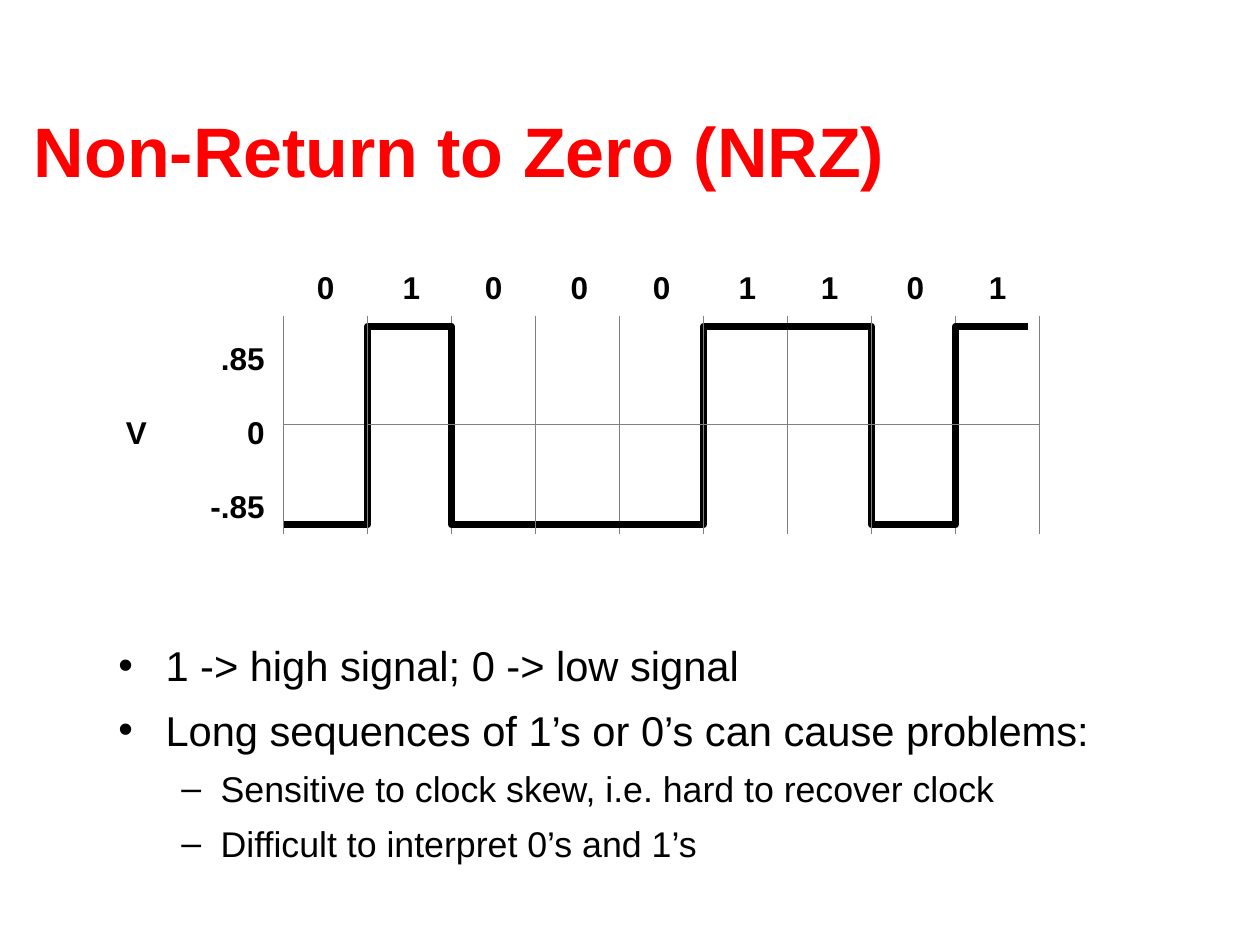
from lxml.etree import SubElement
from pptx import Presentation
from pptx.dml.color import RGBColor
from pptx.enum.shapes import MSO_CONNECTOR
from pptx.enum.text import MSO_ANCHOR, MSO_AUTO_SIZE, PP_ALIGN
from pptx.oxml.ns import qn
from pptx.util import Pt

COLORS = {"title": "FF0000", "ink": "000000", "grid": "808080"}
FONT = "Arial"
BITS = "010001101"
LEFT, STEP = 162, 48
TOP, ZERO, BOTTOM = 180.5, 242.6, 305
LEVELS = {"1": 186.5, "0": 300}
WAVE_END = 587.5
VOLTS = [(".85", 190, 39.6), ("0", 232.5, 24.5), ("-.85", 274.5, 45.4)]
VOLTS_RIGHT = 158.4
BULLETS = [
    ("1 -> high signal; 0 -> low signal", 0),
    ("Long sequences of 1’s or 0’s can cause problems:", 0),
    ("Sensitive to clock skew, i.e. hard to recover clock", 1),
    ("Difficult to interpret 0’s and 1’s", 1),
]
LEVEL_STYLES = [("•", 27, 27, 23.8, 8.5), ("–", 58.5, 22.5, 20.4, 7)]


def rgb(name):
    """Return the named colour."""
    return RGBColor.from_string(COLORS[name])


def format_runs(p, size, color="ink", bold=False):
    """Format every run of a paragraph."""
    for r in p.runs:
        r.font.name = FONT
        r.font.size = Pt(size)
        r.font.bold = bold
        r.font.color.rgb = rgb(color)


def add_title(s, text):
    """Fill and place the title placeholder."""
    sp = s.shapes.title
    sp.left, sp.top, sp.width, sp.height = Pt(12.2), Pt(23), Pt(690), Pt(90)
    tf = sp.text_frame
    tf.text = text
    tf.vertical_anchor = MSO_ANCHOR.BOTTOM
    tf.paragraphs[0].alignment = PP_ALIGN.LEFT
    format_runs(tf.paragraphs[0], 40, "title", True)


def add_label(s, text, x, y, w, align=PP_ALIGN.LEFT):
    """Add a one-line bold label."""
    tf = s.shapes.add_textbox(Pt(x), Pt(y), Pt(w), Pt(28.8)).text_frame
    tf.word_wrap = False
    tf.auto_size = MSO_AUTO_SIZE.SHAPE_TO_FIT_TEXT
    tf.text = text
    tf.paragraphs[0].alignment = align
    format_runs(tf.paragraphs[0], 18, bold=True)


def add_line(s, x1, y1, x2, y2):
    """Add a thin grid line without shadow."""
    line = s.shapes.add_connector(
        MSO_CONNECTOR.STRAIGHT, Pt(x1), Pt(y1), Pt(x2), Pt(y2))
    line.line.color.rgb = rgb("grid")
    line.line.width = Pt(1)
    SubElement(line._element.spPr, qn("a:effectLst"))


def add_grid(s, first):
    """Add the zero line and every second bit boundary."""
    xs = [LEFT + STEP * i for i in range(first, len(BITS) + 1, 2)]
    add_line(s, xs[0], ZERO, xs[-1], ZERO)
    for x in xs:
        add_line(s, x, TOP, x, BOTTOM)


def add_wave(s):
    """Draw the signal that encodes the bits."""
    points = []
    for i, bit in enumerate(BITS):
        x = LEFT + STEP * i
        points += [(x, LEVELS[bit]), (min(x + STEP, WAVE_END), LEVELS[bit])]
    points = list(dict.fromkeys((Pt(x), Pt(y)) for x, y in points))
    builder = s.shapes.build_freeform(*points[0])
    builder.add_line_segments(points[1:], close=False)
    sp = builder.convert_to_shape()
    sp.shadow.inherit = False
    sp.fill.background()
    sp.line.color.rgb = rgb("ink")
    sp.line.width = Pt(4)


def add_bullets(s):
    """Add the two-level bullet list."""
    tf = s.shapes.add_textbox(Pt(60.5), Pt(362), Pt(611), Pt(148)).text_frame
    tf.word_wrap = True
    for i, (text, level) in enumerate(BULLETS):
        char, margin, hang, size, before = LEVEL_STYLES[level]
        p = tf.paragraphs[0] if i == 0 else tf.add_paragraph()
        p.text = text
        p.level = level
        pPr = p._p.get_or_add_pPr()
        pPr.set("marL", str(Pt(margin)))
        pPr.set("indent", str(-Pt(hang)))
        SubElement(pPr, qn("a:buFont"), typeface=FONT)
        SubElement(pPr, qn("a:buChar"), char=char)
        p.space_before = Pt(before if i else 0)
        format_runs(p, size)


def main():
    """Build and save the slide."""
    prs = Presentation()
    prs.slide_width, prs.slide_height = Pt(720), Pt(540)
    s = prs.slides.add_slide(prs.slide_layouts[5])
    add_title(s, "Non-Return to Zero (NRZ)")
    add_bullets(s)
    add_grid(s, 0)
    add_wave(s)
    add_grid(s, 1)
    add_label(s, "V", 64.8, 232.5, 26.6)
    for text, y, w in VOLTS:
        add_label(s, text, VOLTS_RIGHT - w, y, w, PP_ALIGN.RIGHT)
    for i, bit in enumerate(BITS):
        add_label(s, bit, LEFT + STEP * i + 12 + i % 2, 149.8, 24.5)
    prs.save("out.pptx")


if __name__ == "__main__":
    main()
